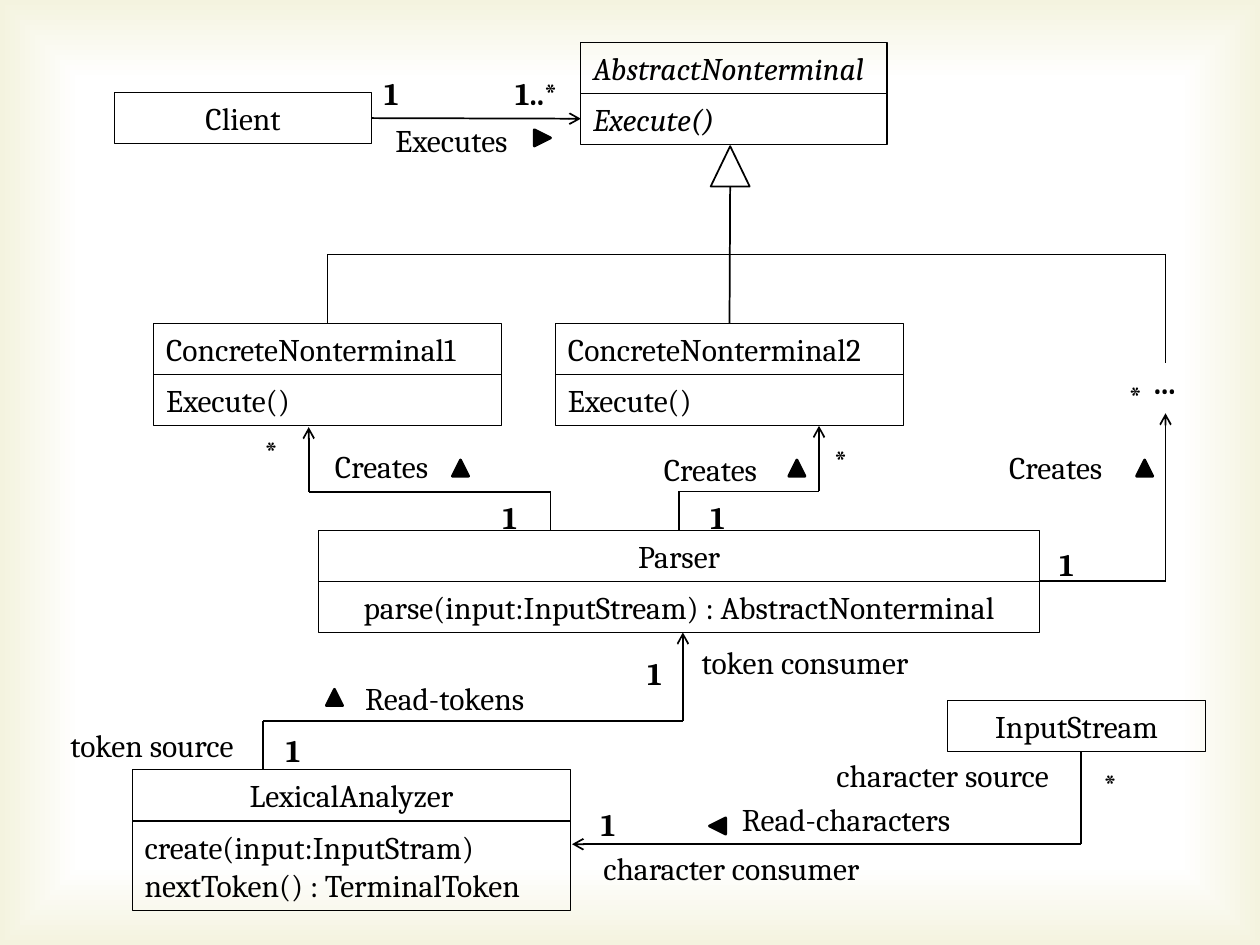
from dataclasses import dataclass
from itertools import pairwise

from lxml import etree
from pptx import Presentation
from pptx.dml.color import RGBColor
from pptx.enum.shapes import MSO_CONNECTOR, MSO_SHAPE
from pptx.enum.text import MSO_ANCHOR, PP_ALIGN
from pptx.oxml.ns import qn
from pptx.util import Inches, Pt

STRAIGHT = MSO_CONNECTOR.STRAIGHT
RECT, TRIANGLE = MSO_SHAPE.RECTANGLE, MSO_SHAPE.ISOSCELES_TRIANGLE
LEFT, CENTER = PP_ALIGN.LEFT, PP_ALIGN.CENTER
MIDDLE, TOP = MSO_ANCHOR.MIDDLE, MSO_ANCHOR.TOP
BLACK = RGBColor(0x00, 0x00, 0x00)
WHITE = RGBColor(0xFF, 0xFF, 0xFF)
CREAM = RGBColor(0xF4, 0xF3, 0xDF)
FONT, SIZE = "Cambria", Pt(18)

# The slide is a grid of 100 columns by 75 rows; all lengths count grid cells.
COLUMNS, ROWS = 100, 75
CELL = Inches(0.1)
LINE_HEIGHT, PADDING = 3.05, 1.0
LABEL_HEIGHT = LINE_HEIGHT + PADDING
MARK_SIZE = 1.3


@dataclass(frozen=True)
class ClassBox:
    name: str
    left: float
    top: float
    width: float
    operations: tuple = ()
    name_align: int = CENTER
    body_align: int = LEFT
    italic: bool = False


@dataclass(frozen=True)
class Route:
    """A run of straight segments; start and end are (class, part, side) joints."""
    points: tuple
    arrow: bool = False
    start: tuple = ()
    end: tuple = ()


@dataclass(frozen=True)
class Label:
    text: str
    left: float
    top: float
    width: float = 3.3
    bold: bool = False


@dataclass(frozen=True)
class Mark:
    """A small solid triangle that gives the reading direction."""
    left: float
    top: float
    rotation: int = 0


EXECUTE = ("Execute()",)
CLASSES = [
    ClassBox("Client", 9.1, 7.35, 20.4),
    ClassBox("AbstractNonterminal", 46.1, 3.35, 24.3, EXECUTE, LEFT, italic=True),
    ClassBox("ConcreteNonterminal1", 12.2, 25.65, 27.6, EXECUTE, LEFT),
    ClassBox("ConcreteNonterminal2", 44.1, 25.65, 27.6, EXECUTE, LEFT),
    ClassBox("Parser", 25.3, 42.1, 57.2,
             ("parse(input:InputStream) : AbstractNonterminal",), body_align=CENTER),
    ClassBox("LexicalAnalyzer", 10.5, 61.1, 34.8,
             ("create(input:InputStram)", "nextToken() : TerminalToken")),
    ClassBox("InputStream", 75.2, 55.6, 20.5),
]

ROUTES = [
    Route(((29.5, 9.4), (46.1, 9.4)), True,
          ("Client", 0, 3), ("AbstractNonterminal", 1, 1)),
    Route(((57.95, 14.8), (57.95, 25.65)), end=("ConcreteNonterminal2", 0, 0)),
    Route(((26, 25.65), (26, 20.2), (92.5, 20.2), (92.5, 28.8)),
          start=("ConcreteNonterminal1", 0, 0)),
    Route(((43.7, 42.1), (43.7, 39.05), (24.5, 39.05), (24.5, 33.9)), True),
    Route(((53.9, 42.1), (53.9, 39), (65, 39), (65, 33.8)), True),
    Route(((82.5, 46.1), (92.5, 46.1), (92.5, 32.8)), True),
    Route(((20.9, 61.1), (20.9, 57.2), (54.2, 57.2), (54.2, 50.2)), True),
    Route(((85.8, 59.7), (85.8, 67), (45.4, 67)), True),
]

MARKS = [Mark(42.4, 10.3, 90), Mark(25.9, 54.7), Mark(56.3, 64.9, 270)]
MARKS += [Mark(left, 36.5) for left in (35.9, 62.6, 90.2)]

ONES = [(29.5, 5.4), (38.9, 39), (55.4, 39), (83.1, 42.8),
        (50.4, 51.4), (21.7, 57.5), (46.7, 63.4)]
STARS = [(88.6, 29.4), (86.6, 60.2), (65.2, 34.5), (20, 33.8)]
LABELS = [Label("1", x, y, bold=True) for x, y in ONES]
LABELS += [Label("*", x, y, bold=True) for x, y in STARS]
LABELS += [Label("Creates", x, y, 10.8) for x, y in ((25.6, 35), (51.7, 35.2), (79.1, 35.1))]
LABELS += [
    Label("1..*", 39.9, 5.4, 6.6, True),
    Label("...", 90.6, 28.3, 4.9, True),
    Label("Executes", 30.4, 9.1, 13.1),
    Label("Read-tokens", 28, 53.4, 16.5),
    Label("token consumer", 54.7, 50.5, 20.4),
    Label("token source", 4.6, 57.1, 16.8),
    Label("character source", 65.4, 59.5, 20.4),
    Label("Read-characters", 57.9, 63, 20.6),
    Label("character consumer", 46.9, 66.9, 24.3),
]


def cells(*counts: float) -> list[int]:
    return [round(count * CELL) for count in counts]


def add_outline(shapes, preset, box: tuple, weight: float, fill=None):
    sp = shapes.add_shape(preset, *cells(*box))
    sp.shadow.inherit = False
    if fill is None:
        sp.fill.background()
    else:
        sp.fill.solid()
        sp.fill.fore_color.rgb = fill
    sp.line.color.rgb = BLACK
    sp.line.width = Pt(weight)
    return sp


def write(sp, lines: tuple, align=LEFT, anchor=TOP, bold=False, italic=False) -> None:
    tf = sp.text_frame
    tf.word_wrap = True
    tf.vertical_anchor = anchor
    for i, line in enumerate(lines):
        p = tf.add_paragraph() if i else tf.paragraphs[0]
        p.alignment = align
        r = p.add_run()
        r.text = line
        r.font.name, r.font.size = FONT, SIZE
        r.font.bold, r.font.italic = bold, italic
        r.font.color.rgb = BLACK


def add_backdrop(shapes) -> None:
    """Fill the slide with white that turns cream towards all four edges."""
    sp = add_outline(shapes, RECT, (0, 0, COLUMNS, ROWS), 1)
    sp.line.fill.background()
    sp.fill.gradient()
    for stop, position, colour in zip(sp.fill.gradient_stops, (0.83, 1), (WHITE, CREAM)):
        stop.position = position
        stop.color.rgb = colour
    grad = sp.fill._xPr.find(qn("a:gradFill"))
    grad.remove(grad.find(qn("a:lin")))
    route = etree.SubElement(grad, qn("a:path"), {"path": "rect"})
    etree.SubElement(route, qn("a:fillToRect"), dict.fromkeys("ltrb", "50000"))


def add_class(shapes, box: ClassBox) -> list:
    """Draw the name part and, if there are operations, a body part grouped with it."""
    target = shapes.add_group_shape().shapes if box.operations else shapes
    parts, top = [], box.top
    for lines, align in (((box.name,), box.name_align), (box.operations, box.body_align)):
        if lines:
            height = LINE_HEIGHT * len(lines) + PADDING
            sp = add_outline(target, RECT, (box.left, top, box.width, height), 0.75)
            write(sp, lines, align, MIDDLE, italic=box.italic)
            parts.append(sp)
            top += height
    return parts


def add_route(shapes, route: Route, parts: dict) -> None:
    segments = [shapes.add_connector(STRAIGHT, *cells(*a, *b))
                for a, b in pairwise(route.points)]
    for segment in segments:
        segment.line.color.rgb = BLACK
        segment.line.width = Pt(1)
        etree.SubElement(segment._element.spPr, qn("a:effectLst"))
    if route.arrow:
        etree.SubElement(segments[-1].line._get_or_add_ln(), qn("a:tailEnd"), {"type": "arrow"})
    if route.start:
        name, part, side = route.start
        segments[0].begin_connect(parts[name][part], side)
    if route.end:
        name, part, side = route.end
        segments[-1].end_connect(parts[name][part], side)


def main() -> None:
    prs = Presentation()
    prs.slide_width, prs.slide_height = COLUMNS * CELL, ROWS * CELL
    shapes = prs.slides.add_slide(prs.slide_layouts[6]).shapes
    add_backdrop(shapes)
    parts = {box.name: add_class(shapes, box) for box in CLASSES}
    add_outline(shapes, TRIANGLE, (56.4, 11.6, 3.1, 3.2), 1)
    for route in ROUTES:
        add_route(shapes, route, parts)
    for mark in MARKS:
        sp = add_outline(shapes, TRIANGLE, (mark.left, mark.top, MARK_SIZE, MARK_SIZE), 1.5, BLACK)
        sp.rotation = mark.rotation
    for label in LABELS:
        sp = shapes.add_textbox(*cells(label.left, label.top, label.width, LABEL_HEIGHT))
        write(sp, (label.text,), bold=label.bold)
    prs.save("out.pptx")


if __name__ == "__main__":
    main()
